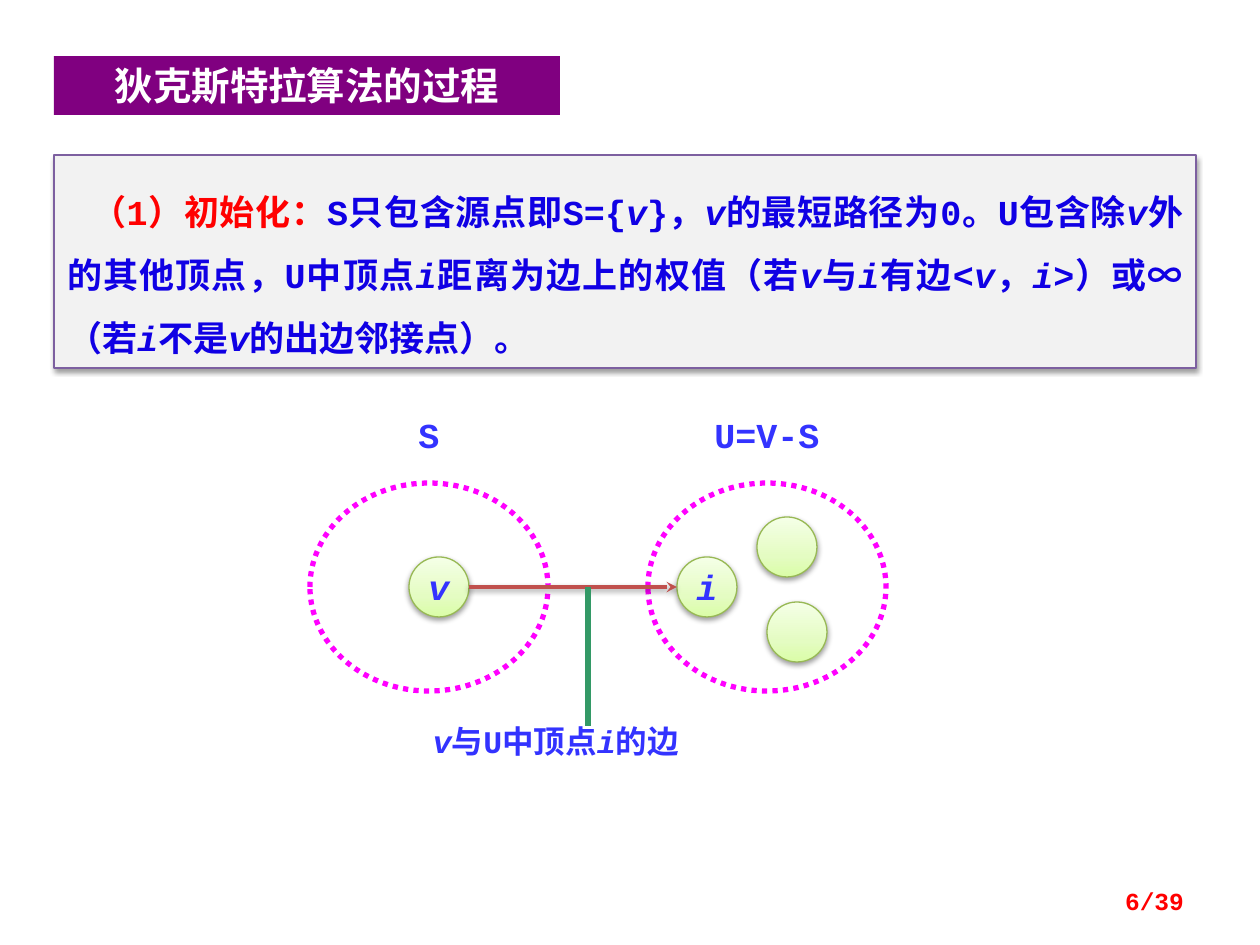
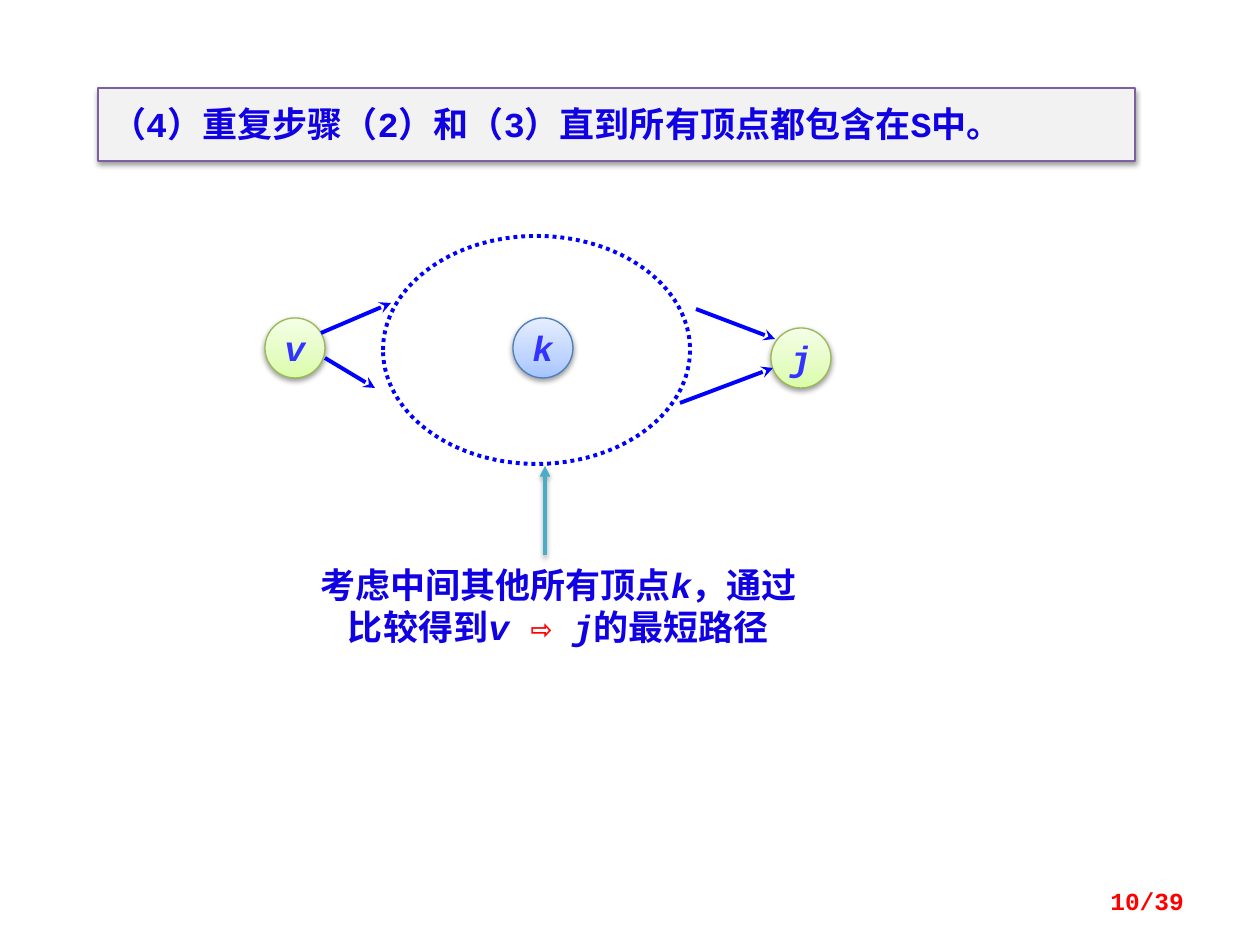
from lxml import etree
from pptx import Presentation
from pptx.dml.color import RGBColor
from pptx.enum.dml import MSO_LINE
from pptx.enum.shapes import MSO_CONNECTOR, MSO_SHAPE
from pptx.enum.text import MSO_ANCHOR, PP_ALIGN
from pptx.oxml.ns import qn
from pptx.util import Pt

SCALE = 914400 / 126
LATIN = "Courier New"
CJK = "Noto Sans CJK SC"
LEFT, CENTER, RIGHT, JUSTIFY = PP_ALIGN.LEFT, PP_ALIGN.CENTER, PP_ALIGN.RIGHT, PP_ALIGN.JUSTIFY
TOP, MIDDLE = MSO_ANCHOR.TOP, MSO_ANCHOR.MIDDLE
RECTANGLE, OVAL = MSO_SHAPE.RECTANGLE, MSO_SHAPE.OVAL
STRAIGHT = MSO_CONNECTOR.STRAIGHT
DOTTED = MSO_LINE.ROUND_DOT
NODE_SIZE = 60
COLORS = {
    "white": "FFFFFF",
    "black": "000000",
    "red": "FF0000",
    "title": "800080",
    "panel": "F2F2F2",
    "panel_edge": "7D60A0",
    "body": "1000E4",
    "label": "3333FF",
    "set": "FF00FF",
    "path": "0000FF",
    "edge": "C0504D",
    "callout": "339966",
    "pointer": "4BACC6",
    "green_edge": "98B955",
    "blue_edge": "4B7EBC",
}
GRADIENTS = {
    "green": ((0, "DAFDA7"), (35, "E4FCC2"), (100, "F5FFE7")),
    "blue": ((0, "A4C4FF"), (35, "BFD4FF"), (100, "E6EEFF")),
}


def px(value):
    return round(value * SCALE)


def rgb(name):
    return RGBColor.from_string(COLORS[name])


class SlideBuilder:
    def __init__(self, deck):
        self.deck = deck
        self.slide = None

    def new_slide(self, number):
        self.slide = self.deck.slides.add_slide(self.deck.slide_layouts[6])
        self.text((903, 876, 294, 50), [(f"{number}/39", "red")], 14, RIGHT, anchor=MIDDLE)

    def fill_text(self, shape, spans, size, align, insets=(13, 6), anchor=TOP, wrap=True, font=LATIN):
        frame = shape.text_frame
        frame.word_wrap = wrap
        frame.vertical_anchor = anchor
        frame.margin_left = frame.margin_right = px(insets[0])
        frame.margin_top = frame.margin_bottom = px(insets[1])
        para = frame.paragraphs[0]
        para.alignment = align
        for text, color in spans:
            for index, piece in enumerate(text.split("*")):
                if piece:
                    self.span(para, piece, size, color, index % 2 == 1, font)
        return para

    def span(self, para, text, size, color, italic, font):
        span = para.add_run()
        span.text = text
        span.font.size = Pt(size)
        span.font.bold = True
        span.font.italic = italic
        span.font.color.rgb = rgb(color)
        span.font.name = font
        etree.SubElement(span._r.get_or_add_rPr(), qn("a:ea"), typeface=CJK)

    def text(self, area, spans, size, align, **options):
        box = self.slide.shapes.add_textbox(*map(px, area))
        return self.fill_text(box, spans, size, align, **options)

    def shape(self, kind, area, fill=None, line=None, width=0.75):
        shape = self.slide.shapes.add_shape(kind, *map(px, area))
        shape.shadow.inherit = False
        if fill:
            shape.fill.solid()
            shape.fill.fore_color.rgb = rgb(fill)
        else:
            shape.fill.background()
        if line:
            shape.line.color.rgb = rgb(line)
            shape.line.width = Pt(width)
        else:
            shape.line.fill.background()
        return shape

    def add_shadow(self, properties):
        effects = properties.find(qn("a:effectLst"))
        shadow = etree.SubElement(effects, qn("a:outerShdw"), blurRad="40000", dist="20000",
                                  dir="5400000", rotWithShape="0")
        color = etree.SubElement(shadow, qn("a:srgbClr"), val=COLORS["black"])
        etree.SubElement(color, qn("a:alpha"), val="38000")

    def title(self, text):
        band = self.shape(RECTANGLE, (54, 56, 506, 59), "title")
        self.fill_text(band, [(text, "white")], 22, CENTER, font=CJK)

    def panel(self, area, spans):
        panel = self.shape(RECTANGLE, area, "panel", "panel_edge")
        self.add_shadow(panel._element.spPr)
        return self.fill_text(panel, spans, 20, JUSTIFY, insets=(13, 15))

    def vertex_set(self, area, color, width):
        outline = self.shape(OVAL, area, line=color, width=width)
        outline.line.dash_style = DOTTED

    def node(self, center_x, center_y, name="", tint="green"):
        area = (center_x - NODE_SIZE / 2, center_y - NODE_SIZE / 2, NODE_SIZE, NODE_SIZE)
        node = self.shape(OVAL, area, line=f"{tint}_edge")
        node.fill.gradient()
        node.fill.gradient_angle = 90
        properties = node._element.spPr
        stops = properties.find(f"{qn('a:gradFill')}/{qn('a:gsLst')}")
        for stop in list(stops):
            stops.remove(stop)
        for position, color in GRADIENTS[tint]:
            stop = etree.SubElement(stops, qn("a:gs"), pos=str(position * 1000))
            etree.SubElement(stop, qn("a:srgbClr"), val=color)
        self.add_shadow(properties)
        if name:
            self.fill_text(node, [(f"*{name}*", "label")], 20, CENTER, anchor=MIDDLE, wrap=False)

    def line(self, start, end, color, width, arrow=None, shadow=False):
        line = self.slide.shapes.add_connector(STRAIGHT, *map(px, start + end))
        line.line.color.rgb = rgb(color)
        line.line.width = Pt(width)
        if arrow:
            etree.SubElement(line.get_or_add_ln(), qn("a:tailEnd"), type=arrow)
        properties = line._element.spPr
        etree.SubElement(properties, qn("a:effectLst"))
        if shadow:
            self.add_shadow(properties)


def build_initial_step(builder):
    builder.new_slide(6)
    para = builder.panel((54, 155, 1142, 213), [
        ("（1）初始化：", "red"),
        ("S只包含源点即S={*v*}，*v*的最短路径为0。U包含除*v*外的其他顶点，"
         "U中顶点*i*距离为边上的权值（若*v*与*i*有边<*v*，*i*>）或∞（若*i*不是*v*的出边邻接点）。",
         "body"),
    ])
    para.line_spacing = 1.5
    para._p.get_or_add_pPr().set("indent", str(px(24)))
    builder.title("狄克斯特拉算法的过程")
    for left, name in ((310, "S"), (648, "U=V-S")):
        builder.vertex_set((left, 483, 238, 208), "set", 3)
        builder.text((left + 49, 413, 140, 43), [(name, "label")], 20, CENTER, insets=(0, 0))
    for center_x, center_y, name in ((439, 587, "v"), (707, 587, "i"), (797, 632, ""), (787, 547, "")):
        builder.node(center_x, center_y, name)
    builder.text((420, 716, 377, 50), [("*v*与U中顶点*i*的边", "label")], 18, LEFT)
    builder.line((469, 587), (677, 587), "edge", 2, "stealth", shadow=True)
    builder.line((588, 587), (588, 726), "callout", 3)


def build_repeat_step(builder):
    builder.new_slide(10)
    builder.panel((98, 88, 1037, 73), [("（4）重复步骤（2）和（3）直到所有顶点都包含在S中。", "body")])
    builder.node(295, 348, "v")
    builder.node(801, 358, "j")
    for start, end in (
        ((321, 333), (391, 303)),
        ((325, 358), (375, 388)),
        ((696, 309), (775, 339)),
        ((680, 403), (773, 368)),
    ):
        builder.line(start, end, "path", 2.25, "stealth")
    builder.vertex_set((383, 236, 307, 228), "path", 2.25)
    builder.line((545, 555), (545, 466), "pointer", 2, "triangle", shadow=True)
    builder.text((296, 557, 525, 97), [
        ("考虑中间其他所有顶点*k*，通过比较得到*v *", "body"),
        ("⇨ ", "red"),
        ("*j*的最短路径", "body"),
    ], 20, CENTER)
    builder.node(543, 348, "k", "blue")


def main():
    deck = Presentation()
    deck.slide_width, deck.slide_height = px(1260), px(945)
    builder = SlideBuilder(deck)
    build_initial_step(builder)
    build_repeat_step(builder)
    deck.save("out.pptx")


if __name__ == "__main__":
    main()
